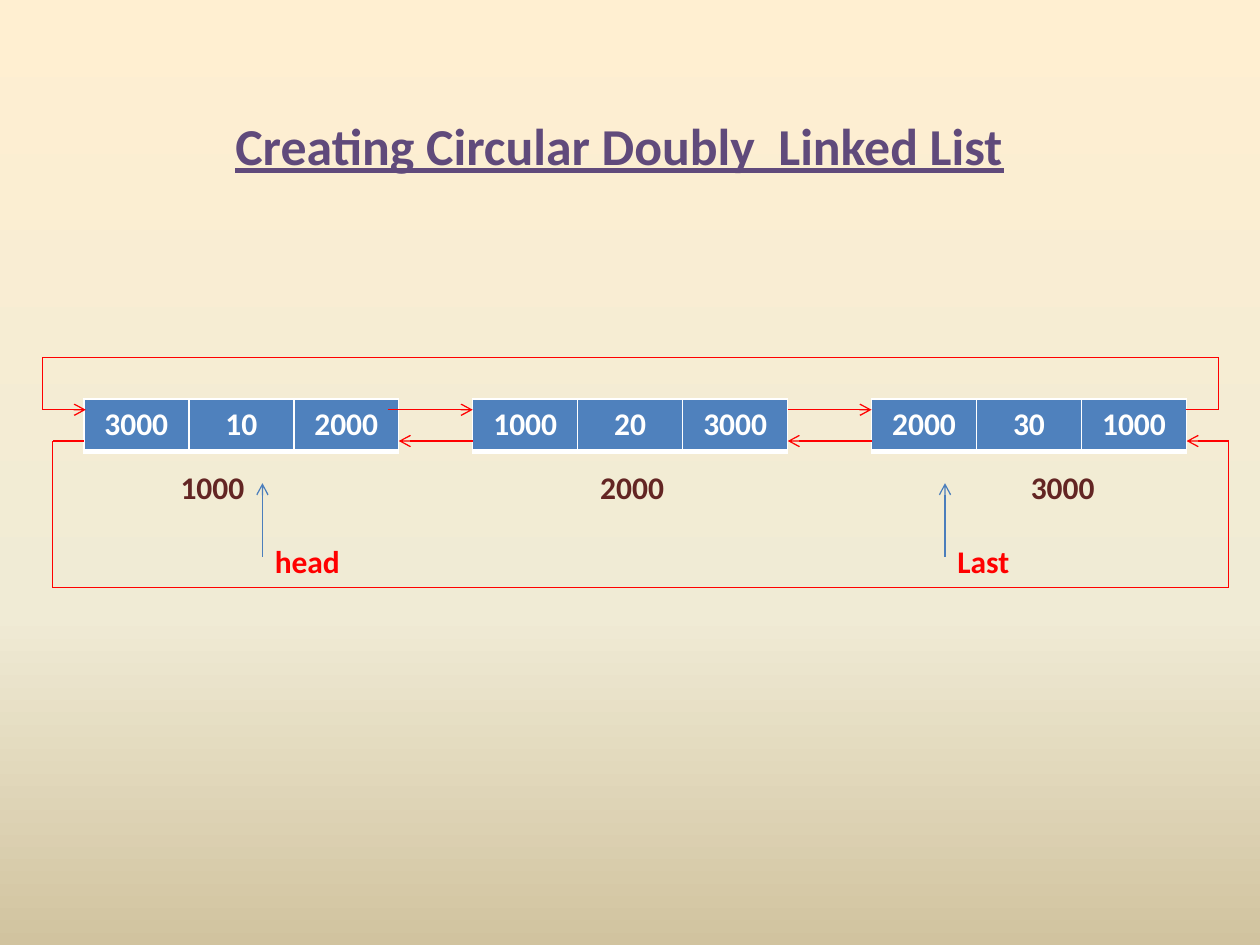
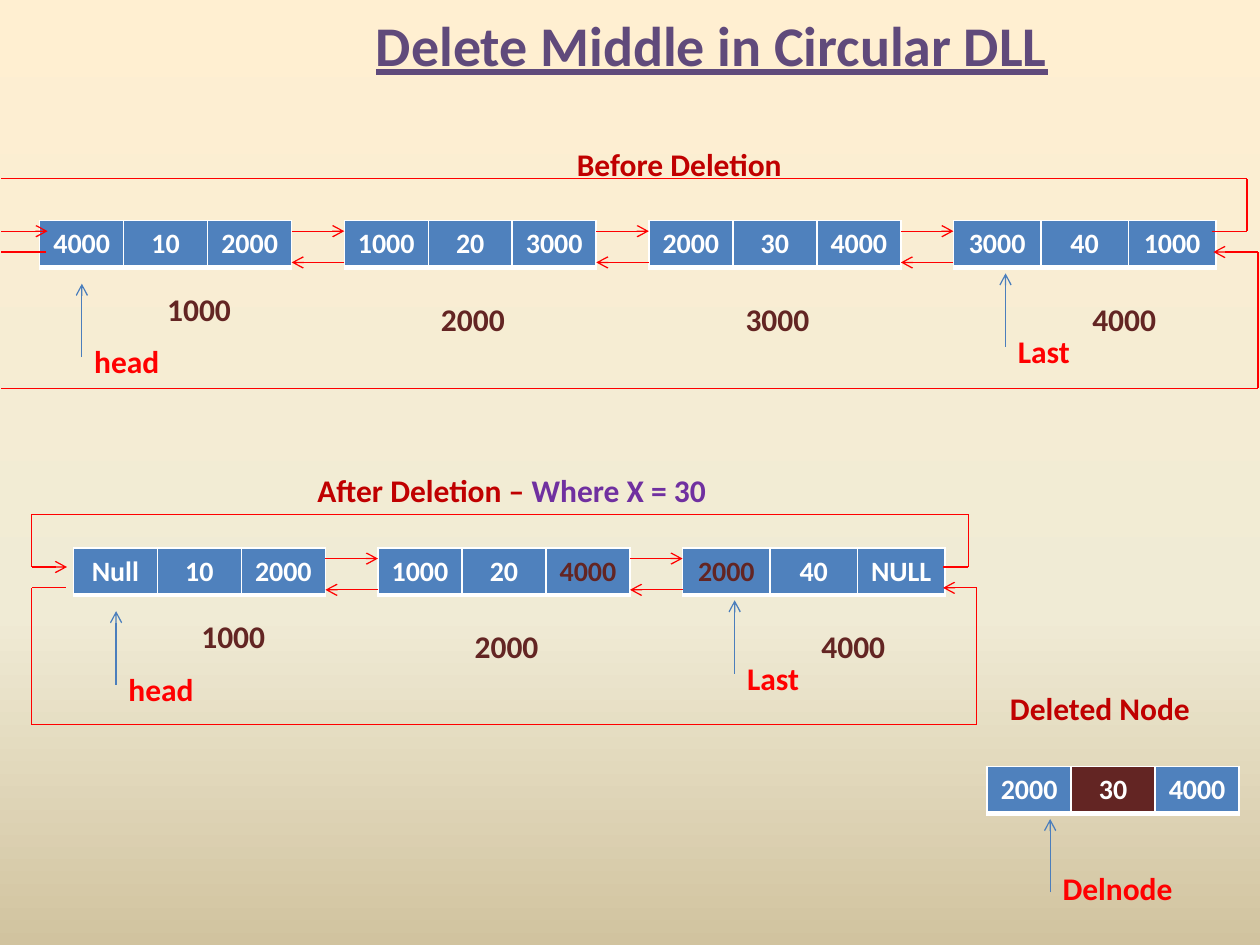
from copy import deepcopy
from lxml.etree import SubElement
from pptx import Presentation
from pptx.dml.color import RGBColor
from pptx.enum.shapes import MSO_CONNECTOR
from pptx.enum.text import MSO_ANCHOR, PP_ALIGN
from pptx.oxml.ns import qn
from pptx.util import Cm, Pt

FONT = "Calibri"
WHITE = RGBColor(0xFF, 0xFF, 0xFF)
RED = RGBColor(0xFF, 0x00, 0x00)
DARK_RED = RGBColor(0xC0, 0x00, 0x00)
BROWN = RGBColor(0x63, 0x25, 0x23)
PURPLE = RGBColor(0x60, 0x4A, 0x7B)
VIOLET = RGBColor(0x70, 0x30, 0xA0)
NODE_BLUE = RGBColor(0x4F, 0x81, 0xBD)
POINTER_BLUE = RGBColor(0x4B, 0x7E, 0xBC)
BACKGROUND = [(0, RGBColor(0xFF, 0xEF, 0xD1)),
              (0.65, RGBColor(0xF0, 0xEB, 0xD5)),
              (1, RGBColor(0xD1, 0xC3, 0x9F))]


def add_run(p, text, color, size=18):
    r = p.add_run()
    r.text = text
    r.font.name = FONT
    r.font.size = Pt(size)
    r.font.bold = True
    r.font.color.rgb = color
    return r


def add_route(s, points, color=RED, arrow=True):
    """Draw straight lines through the points, with an arrowhead at the end."""
    for (x1, y1), (x2, y2) in zip(points, points[1:]):
        c = s.shapes.add_connector(MSO_CONNECTOR.STRAIGHT,
                                   Cm(x1), Cm(y1), Cm(x2), Cm(y2))
        c.line.color.rgb = color
        c.line.width = Pt(0.75)
        SubElement(c.element.spPr, qn("a:effectLst"))
    if arrow:
        ln = c.element.spPr.find(qn("a:ln"))
        SubElement(ln, qn("a:tailEnd"), type="arrow")


prs = Presentation()
prs.slide_width, prs.slide_height = Cm(25.4), Cm(19.05)

# Shared background gradient, top to bottom
fill = prs.slide_master.background.fill
fill.gradient()
fill.gradient_angle = 270
stop_list = prs.slide_master.element.find(".//" + qn("a:gsLst"))
stop_list.append(deepcopy(stop_list[0]))
for stop, (position, color) in zip(fill.gradient_stops, BACKGROUND):
    stop.position = position
    stop.color.rgb = color

# Slides and titles
titles = [("Creating Circular Doubly  Linked List", 29.6, 0.64, 2.17, 23.7),
          ("Delete Middle in Circular DLL", 32, 3.35, 0.14, 22)]
for text, size, x, y, w in titles:
    s = prs.slides.add_slide(prs.slide_layouts[5])
    title = s.shapes.title
    title.left, title.top, title.width, title.height = Cm(x), Cm(y), Cm(w), Cm(1.5)
    tf = title.text_frame
    tf.vertical_anchor = MSO_ANCHOR.MIDDLE
    p = tf.paragraphs[0]
    p.alignment = PP_ALIGN.CENTER
    add_run(p, text, PURPLE, size).font.underline = True
create, delete = prs.slides

# List nodes: previous address, value, next address
STEP = 6.14
BEFORE_X, AFTER_X = 0.8, 1.48
BEFORE_Y, AFTER_Y = 4.45, 11.05
nodes = [
    (create, 1.69, 8.04, 6.35, 1.06, 18, ("3000", "10", "2000")),
    (create, 9.53, 8.04, 6.35, 1.06, 18, ("1000", "20", "3000")),
    (create, 17.57, 8.04, 6.35, 1.06, 18, ("2000", "30", "1000")),
    (delete, BEFORE_X, BEFORE_Y, 5.08, 0.93, 16, ("4000", "10", "2000")),
    (delete, BEFORE_X + STEP, BEFORE_Y, 5.08, 0.93, 16, ("1000", "20", "3000")),
    (delete, BEFORE_X + 2 * STEP, BEFORE_Y, 5.08, 0.93, 16, ("2000", "30", "4000")),
    (delete, BEFORE_X + 3 * STEP, BEFORE_Y, 5.29, 0.93, 16, ("3000", "40", "1000")),
    (delete, AFTER_X, AFTER_Y, 5.08, 0.93, 16, ("Null", "10", "2000")),
    (delete, AFTER_X + STEP, AFTER_Y, 5.08, 0.93, 16, ("1000", "20", "4000")),
    (delete, AFTER_X + 2 * STEP, AFTER_Y, 5.29, 0.93, 16, ("2000", "40", "NULL")),
    (delete, 19.9, 15.45, 5.08, 0.93, 16, ("2000", "30", "4000")),
]
# (node, column) of the links changed by the deletion, and of the deleted value
changed_links = {(8, 2), (9, 0)}
deleted_value = (10, 1)
for n, (s, x, y, w, h, size, values) in enumerate(nodes):
    table = s.shapes.add_table(1, 3, Cm(x), Cm(y), Cm(w), Cm(h)).table
    for col, value in enumerate(values):
        cell = table.cell(0, col)
        tcPr = cell._tc.get_or_add_tcPr()
        for side, width in (("L", 1), ("R", 1), ("T", 1), ("B", 3)):
            ln = SubElement(tcPr, qn("a:ln" + side), w=str(Pt(width)))
            SubElement(SubElement(ln, qn("a:solidFill")), qn("a:srgbClr"), val=str(WHITE))
        cell.fill.solid()
        cell.fill.fore_color.rgb = BROWN if (n, col) == deleted_value else NODE_BLUE
        p = cell.text_frame.paragraphs[0]
        p.alignment = PP_ALIGN.CENTER
        add_run(p, value, BROWN if (n, col) in changed_links else WHITE, size)

# Next and previous links between neighbours: gap edges and the two heights
links = [(create, 7.82, 8.04, 9.53, 8.26, 8.89),
         (create, 15.88, 15.88, 17.57, 8.26, 8.89)]
for first_x, first_y, count in ((BEFORE_X, BEFORE_Y, 3), (AFTER_X, AFTER_Y, 2)):
    for i in range(count):
        right = first_x + i * STEP + 5.08
        links.append((delete, right, right, first_x + (i + 1) * STEP,
                      first_y + 0.21, first_y + 0.84))
for s, next_start, prev_end, right_node, next_y, prev_y in links:
    add_route(s, [(next_start, next_y), (right_node, next_y)])
    add_route(s, [(right_node, prev_y), (prev_end, prev_y)])

# Circular links: last to first above, first to last below
add_route(create, [(23.9, 8.26), (24.56, 8.26), (24.56, 7.2),
                   (0.85, 7.2), (0.85, 8.26), (1.73, 8.26)])
add_route(create, [(1.69, 8.89), (1.06, 8.89), (1.06, 11.85),
                   (24.77, 11.85), (24.77, 8.89), (23.92, 8.89)])
add_route(delete, [(24.43, 4.66), (25.14, 4.66), (25.14, 3.6), (0.03, 3.6)], arrow=False)
add_route(delete, [(0.03, 4.66), (0.96, 4.66)])
add_route(delete, [(0.93, 5.08), (0.03, 5.08)], arrow=False)
add_route(delete, [(0.03, 7.83), (25.36, 7.83), (25.36, 5.08), (24.46, 5.08)])
add_route(delete, [(19.01, 11.43), (19.52, 11.43), (19.52, 10.37),
                   (0.64, 10.37), (0.64, 11.43), (1.35, 11.43)])
add_route(delete, [(1.33, 11.85), (0.64, 11.85), (0.64, 14.61),
                   (19.69, 14.61), (19.69, 11.85), (19.01, 11.85)])

# Node addresses and captions
labels = [(s, x, y, 2.12, [(text, BROWN)]) for s, x, y, text in [
    (create, 3.39, 9.31, "1000"), (create, 11.85, 9.31, "2000"),
    (create, 20.53, 9.31, "3000"),
    (delete, 3.12, 5.72, "1000"), (delete, 8.64, 5.93, "2000"),
    (delete, 14.78, 5.93, "3000"), (delete, 21.77, 5.93, "4000"),
    (delete, 3.81, 12.32, "1000"), (delete, 9.32, 12.52, "2000"),
    (delete, 16.31, 12.52, "4000"),
]]
labels += [
    (delete, 11.38, 2.79, 5.93, [("Before Deletion", DARK_RED)]),
    (delete, 6.15, 9.37, 8.69, [("After Deletion – ", DARK_RED), ("Where X = 30", VIOLET)]),
    (delete, 20.11, 13.77, 5.2, [("Deleted Node", DARK_RED)]),
]

# Named pointers: tip of the arrow, then the drop to the name
pointers = [
    (create, 5.29, 9.74, 1.06, "head"), (create, 19.05, 9.74, 1.06, "Last"),
    (delete, 1.65, 5.72, 1.06, "head"), (delete, 20.27, 5.51, 1.06, "Last"),
    (delete, 2.34, 12.32, 1.06, "head"), (delete, 14.81, 12.1, 1.06, "Last"),
    (delete, 21.17, 16.51, 0.89, "Delnode"),
]
for s, x, tip, drop, name in pointers:
    add_route(s, [(x, tip + 1.48), (x, tip)], POINTER_BLUE)
    labels.append((s, x, tip + drop, 3.18, [(name, RED)]))

for s, x, y, w, runs in labels:
    tf = s.shapes.add_textbox(Cm(x), Cm(y), Cm(w), Cm(1.03)).text_frame
    tf.word_wrap = True
    for text, color in runs:
        add_run(tf.paragraphs[0], text, color)

prs.save("out.pptx")
